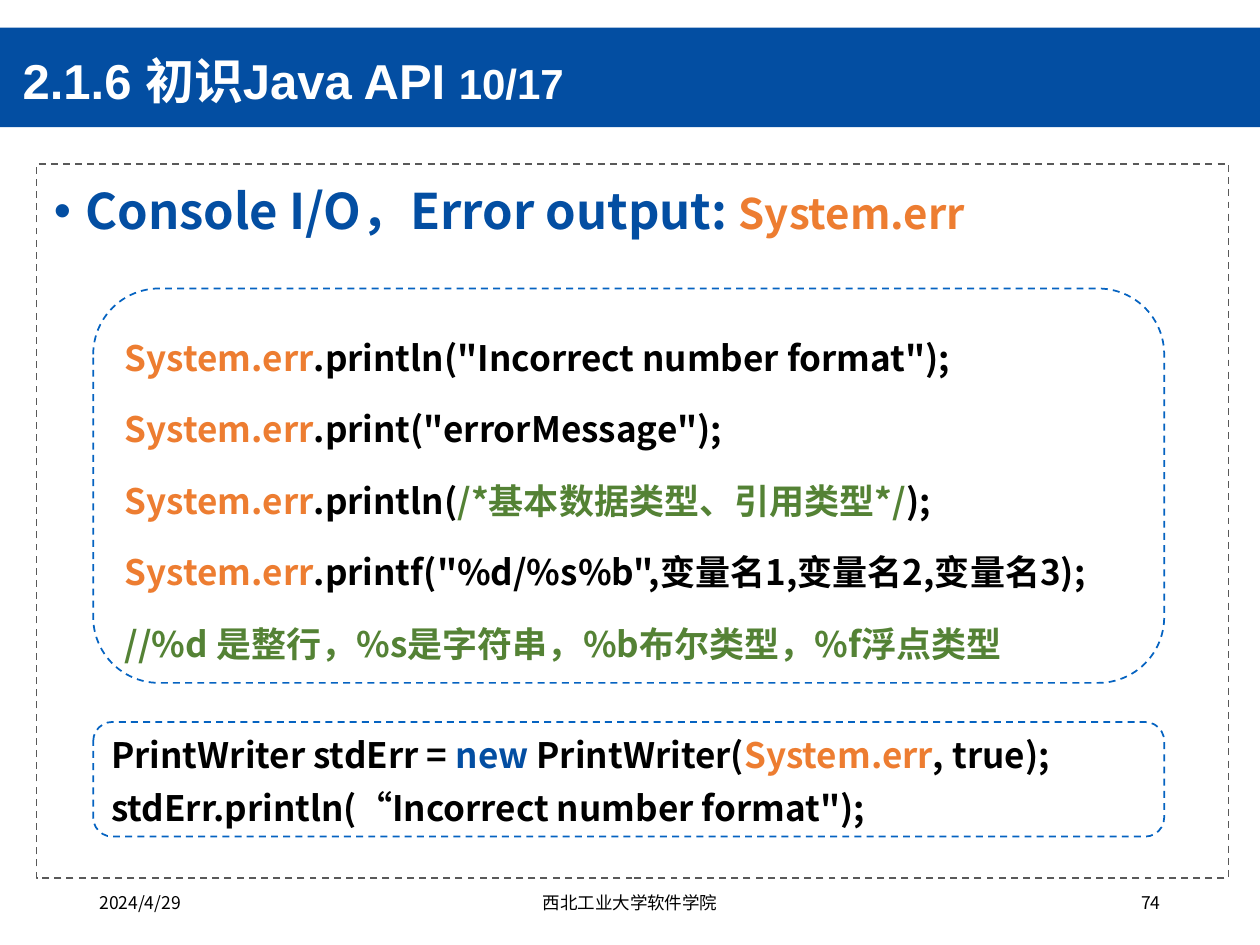
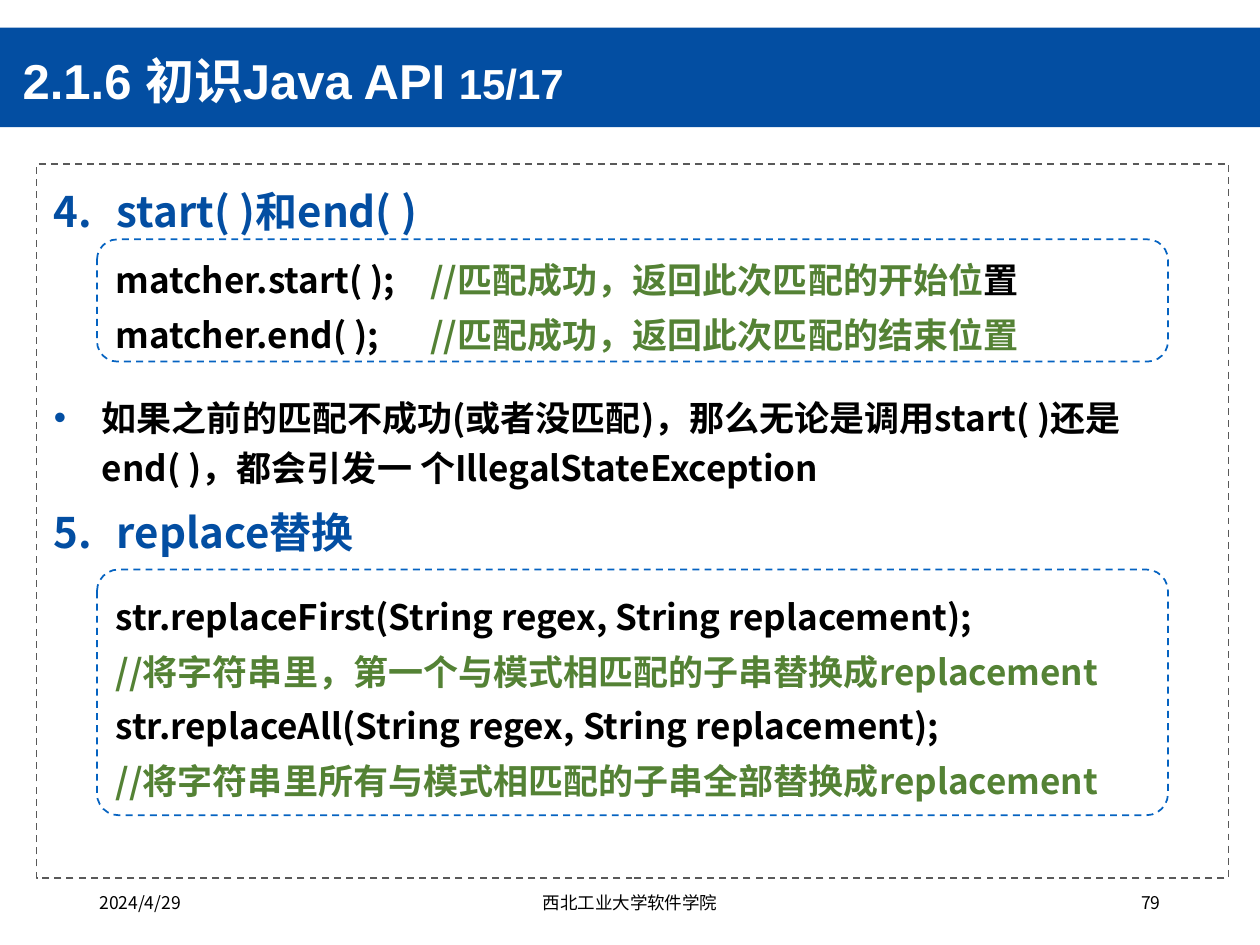
from dataclasses import dataclass
from typing import Optional

import pptx
import pptx.dml.color
import pptx.enum.dml
import pptx.enum.shapes
import pptx.enum.text
import pptx.oxml
import pptx.oxml.ns
import pptx.util
from pptx.util import Inches

COLORS = {
    "blue": "034EA2",
    "orange": "ED7D31",
    "green": "548235",
    "black": "000000",
    "white": "FFFFFF",
    "frame": "595959",
    "code_border": "0563C1",
}
CJK_FONT = "Noto Sans CJK SC"
TITLE_FONT = "Arial"
LEFT = pptx.enum.text.PP_ALIGN.LEFT
CENTER = pptx.enum.text.PP_ALIGN.CENTER
RIGHT = pptx.enum.text.PP_ALIGN.RIGHT
TOP = pptx.enum.text.MSO_ANCHOR.TOP
MIDDLE = pptx.enum.text.MSO_ANCHOR.MIDDLE
RECTANGLE = pptx.enum.shapes.MSO_SHAPE.RECTANGLE
ROUNDED = pptx.enum.shapes.MSO_SHAPE.ROUNDED_RECTANGLE


@dataclass(frozen=True)
class Run:
    text: str
    color: str = "black"
    size: int = 20
    bold: bool = True
    font: str = CJK_FONT


@dataclass(frozen=True)
class Line:
    runs: tuple[Run, ...]
    spacing: float = 1.0
    before: int = 0
    align: pptx.enum.text.PP_ALIGN = LEFT
    indent: float = 0
    bullet: str = ""
    number: int = 0
    tab: float = 0


@dataclass(frozen=True)
class CodeBox:
    left: float
    top: float
    height: float
    corner: float
    lines: tuple[Line, ...]


@dataclass(frozen=True)
class TextBlock:
    top: float
    height: float
    lines: tuple[Line, ...]


@dataclass(frozen=True)
class Page:
    step: str
    number: str
    blocks: tuple[TextBlock, ...]
    code_boxes: tuple[CodeBox, ...]


def rgb(name: str) -> pptx.dml.color.RGBColor:
    return pptx.dml.color.RGBColor.from_string(COLORS[name])


def add_paragraph_xml(properties, xml: str) -> None:
    """Append a drawing element, given without its namespace, to paragraph properties."""
    tag, rest = xml[:-2].split(" ", 1) if " " in xml else (xml[:-2], "")
    namespace = pptx.oxml.ns.nsdecls("a")
    properties.append(pptx.oxml.parse_xml(f"<a:{tag} {namespace} {rest}/>"))


def set_marker(paragraph, line: Line) -> None:
    """Set the indent, bullet or number, and tab stop of a paragraph."""
    properties = paragraph._p.get_or_add_pPr()
    indent = Inches(line.indent)
    properties.set("marL", str(indent))
    properties.set("indent", str(-indent))
    if line.bullet or line.number:
        color = pptx.oxml.parse_xml(
            f'<a:buClr {pptx.oxml.ns.nsdecls("a")}><a:srgbClr val="{COLORS["blue"]}"/></a:buClr>')
        properties.append(color)
    if line.bullet:
        add_paragraph_xml(properties, 'buFont typeface="Arial"/>'[:-2] + "/>")
        add_paragraph_xml(properties, f'buChar char="{line.bullet}"/>')
    elif line.number:
        add_paragraph_xml(properties, f'buAutoNum type="arabicPeriod" startAt="{line.number}"/>')
    else:
        add_paragraph_xml(properties, "buNone/>")
    if line.tab:
        properties.append(pptx.oxml.parse_xml(
            f'<a:tabLst {pptx.oxml.ns.nsdecls("a")}>'
            f'<a:tab pos="{Inches(line.tab)}" algn="l"/></a:tabLst>'))


def add_run(paragraph, part: Run) -> None:
    run = paragraph.add_run()
    run.text = part.text
    run.font.name = part.font
    run.font.size = pptx.util.Pt(part.size)
    run.font.bold = part.bold
    run.font.color.rgb = rgb(part.color)
    add_paragraph_xml(run.font._element, f'ea typeface="{CJK_FONT}"/>')


def write_lines(shape, lines: tuple[Line, ...], anchor=TOP, wrap: bool = True) -> None:
    frame = shape.text_frame
    frame.auto_size = pptx.enum.text.MSO_AUTO_SIZE.NONE
    frame.word_wrap = wrap
    frame.vertical_anchor = anchor
    frame.margin_left = frame.margin_right = Inches(0.1)
    frame.margin_top = frame.margin_bottom = Inches(0.05)
    for index, line in enumerate(lines):
        paragraph = frame.add_paragraph() if index else frame.paragraphs[0]
        set_marker(paragraph, line)
        paragraph.alignment = line.align
        paragraph.line_spacing = line.spacing
        paragraph.space_before = pptx.util.Pt(line.before)
        for part in line.runs:
            add_run(paragraph, part)


def add_text(slide, left: float, top: float, width: float, height: float,
             lines: tuple[Line, ...]) -> None:
    box = slide.shapes.add_textbox(Inches(left), Inches(top), Inches(width), Inches(height))
    write_lines(box, lines)


def add_panel(slide, kind, left: float, top: float, width: float, height: float,
              fill: Optional[str] = None, dashed: Optional[str] = None):
    panel = slide.shapes.add_shape(
        kind, Inches(left), Inches(top), Inches(width), Inches(height))
    panel.shadow.inherit = False
    if fill:
        panel.fill.solid()
        panel.fill.fore_color.rgb = rgb(fill)
    else:
        panel.fill.background()
    if dashed:
        panel.line.color.rgb = rgb(dashed)
        panel.line.width = pptx.util.Pt(1)
        panel.line.dash_style = pptx.enum.dml.MSO_LINE.DASH
    else:
        panel.line.fill.background()
    return panel


def add_title(slide, step: str) -> None:
    title = slide.shapes.title
    title.left, title.top = Inches(0.08), Inches(0.33)
    title.width, title.height = Inches(7.35), Inches(0.66)
    heading = Run("2.1.6 初识Java API ", "white", 28, font=TITLE_FONT)
    progress = Run(step, "white", 24, font=TITLE_FONT)
    write_lines(title, (Line((heading, progress), 0.9),), MIDDLE)
    # The title placeholder comes first, so lift it above the band.
    title._element.getparent().append(title._element)


def add_footers(slide, number: str) -> None:
    for text, left, width, align in (
        ("2024/4/29", 0.69, 2.25, LEFT),
        ("西北工业大学软件学院", 3.31, 3.38, CENTER),
        (number, 7.06, 2.25, RIGHT),
    ):
        add_text(slide, left, 7.03, width, 0.4,
                 (Line((Run(text, size=10, bold=False),), align=align),))


def add_code_box(slide, code: CodeBox) -> None:
    box = add_panel(slide, ROUNDED, code.left, code.top, 8.5, code.height, dashed="code_border")
    box.adjustments[0] = code.corner
    write_lines(box, code.lines, MIDDLE, wrap=False)


def add_page(deck, page: Page) -> None:
    slide = deck.slides.add_slide(deck.slide_layouts.get_by_name("Title Only"))
    add_panel(slide, RECTANGLE, 0, 0.22, 10, 0.79, fill="blue")
    add_panel(slide, RECTANGLE, 0.29, 1.3, 9.46, 5.67, dashed="frame")
    for block in page.blocks:
        add_text(slide, 0.33, block.top, 9.38, block.height, block.lines)
    add_title(slide, page.step)
    for code in page.code_boxes:
        add_code_box(slide, code)
    add_footers(slide, page.number)


def err_call(*rest: Run) -> Line:
    """A statement that starts with System.err."""
    return Line((Run("System.err", "orange"), *rest), 1.7)


def method_heading(number: int, text: str, spacing: float = 1.0, before: int = 0) -> Line:
    return Line((Run(text, "blue", 24),), spacing, before, indent=0.5, number=number)


def matcher_call(call: str, *comment: Run) -> Line:
    return Line((Run(call + "\t"), *comment), 1.3, tab=2.4)


ERROR_OUTPUT = Page(
    "10/17", "74",
    (TextBlock(1.34, 0.75, (
        Line((Run("Console I/O，Error output: ", "blue", 28), Run("System.err", "orange", 24)),
             1.1, indent=0.25, bullet="•"),)),),
    (
        CodeBox(0.74, 2.29, 3.13, 0.167, (
            err_call(Run('.println("Incorrect number format");')),
            err_call(Run('.print("errorMessage");')),
            err_call(Run(".println("), Run("/*基本数据类型、引用类型*/", "green"), Run(");")),
            err_call(Run('.printf("%d/%s%b",变量名1,变量名2,变量名3);')),
            Line((Run("//%d 是整行，%s是字符串，%b布尔类型，%f浮点类型", "green"),), 1.7),
        )),
        CodeBox(0.74, 5.73, 0.91, 0.167, (
            Line((Run("PrintWriter stdErr = "), Run("new ", "blue"), Run("PrintWriter("),
                  Run("System.err", "orange"), Run(", true);")), 1.1),
            Line((Run('stdErr.println(“Incorrect number format");'),), 1.1, before=4),
        )),
    ),
)

REGEX_METHODS = Page(
    "15/17", "79",
    (
        TextBlock(1.34, 0.55, (method_heading(4, "start( )和end( )", 1.2),)),
        TextBlock(3.03, 1.48, (
            Line((Run("如果之前的匹配不成功(或者没匹配)，那么无论是调用start( )还是end( )，"
                      "都会引发一 个IllegalStateException"),),
                 1.2, indent=0.38, bullet="•"),
            method_heading(5, "replace替换", before=10),
        )),
    ),
    (
        CodeBox(0.77, 1.9, 0.97, 0.167, (
            matcher_call("matcher.start( );",
                         Run("//匹配成功，返回此次匹配的开始位", "green"), Run("置")),
            matcher_call("matcher.end( );", Run("//匹配成功，返回此次匹配的结束位置", "green")),
        )),
        CodeBox(0.77, 4.52, 1.95, 0.088, tuple(Line((part,), 1.3) for part in (
            Run("str.replaceFirst(String regex, String replacement);"),
            Run("//将字符串里，第一个与模式相匹配的子串替换成replacement", "green"),
            Run("str.replaceAll(String regex, String replacement);"),
            Run("//将字符串里所有与模式相匹配的子串全部替换成replacement", "green"),
        ))),
    ),
)


def main() -> None:
    deck = pptx.Presentation()
    deck.slide_width, deck.slide_height = Inches(10), Inches(7.5)
    for page in (ERROR_OUTPUT, REGEX_METHODS):
        add_page(deck, page)
    deck.save("out.pptx")


if __name__ == "__main__":
    main()
